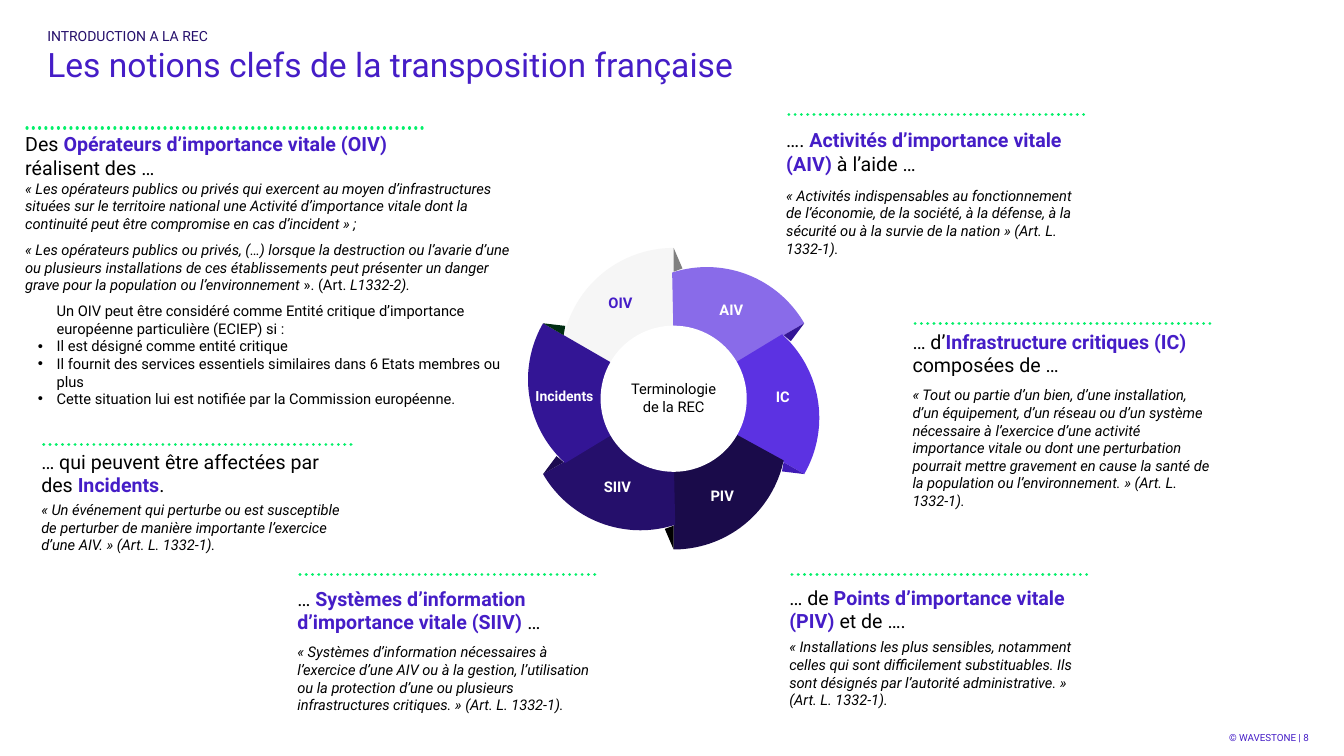
from dataclasses import dataclass
from math import cos, radians, sin

from lxml.etree import SubElement
from pptx import Presentation
from pptx.dml.color import RGBColor
from pptx.enum.dml import MSO_LINE
from pptx.enum.shapes import MSO_CONNECTOR, MSO_SHAPE
from pptx.enum.text import MSO_ANCHOR, MSO_AUTO_SIZE, PP_ALIGN
from pptx.oxml.ns import qn
from pptx.util import Pt

FONT = "Roboto"
VIOLET, INDIGO, GREEN, BLACK, WHITE = "451DC7", "250F6B", "04F06A", "000000", "FFFFFF"
CENTRE_X, CENTRE_Y = 481.2, 284.8
TIP_RADIUS, HUB_RADIUS, INNER_RADIUS = 107.7, 52.2, 38.9
ARC_RADIUS, ARC_SWEEP = 80.3, 78
FOLD = [(0, -TIP_RADIUS), (6.3, -93), (0, -90.7)]


@dataclass
class Segment:
    label: str
    fill: str
    fold: str
    label_x: float
    label_y: float
    label_colour: str = WHITE
    label_size: float = 10.5


@dataclass
class Notion:
    left: float
    width: float
    rule_top: float
    heading_top: float
    heading: tuple[str, str, str]
    quote_top: float = 0
    quote_height: float = 57
    quote: str = ""
    rule_shift: float = 0


SEGMENTS = [
    Segment("OIV", "F6F6F6", "808080", 443.2, 216.7, VIOLET),
    Segment("AIV", "896BE9", "331595", 522.4, 221.7),
    Segment("IC", "5C32E2", "3F1AB5", 559.1, 283.7),
    Segment("PIV", "1A0B4A", "000000", 515.9, 354.2),
    Segment("SIIV", "250F6B", "1C0B50", 441, 347.8),
    Segment("Incidents", "331595", "012D13", 403.2, 283.3, WHITE, 10),
]

NOTIONS = [
    Notion(18, 283.5, 91.4, 94.3,
           ("Des ", "Opérateurs d’importance vitale (OIV) ", "réalisent des …")),
    Notion(561.6, 212.4, 82.1, 91.4,
           ("…. ", "Activités d’importance vitale (AIV) ", "à l’aide …"), 130.3, 57,
           "« Activités indispensables au fonctionnement de l’économie, de la société, à la défense, "
           "à la sécurité ou à la survie de la nation » (Art. L. 1332-1)."),
    Notion(651.8, 212.4, 231.1, 235.4,
           ("… d’", "Infrastructure critiques (IC) ", "composées de …"), 272.9, 95,
           "« Tout ou partie d’un bien, d’une installation, d’un équipement, d’un réseau ou d’un "
           "système nécessaire à l’exercice d’une activité importance vitale ou dont une perturbation "
           "pourrait mettre gravement en cause la santé de la population ou l’environnement. » "
           "(Art. L. 1332-1)."),
    Notion(563.8, 212.4, 410.4, 418.3,
           ("… de ", "Points d’importance vitale (PIV) ", "et de …."), 452.9, 57,
           "« Installations les plus sensibles, notamment celles qui sont difficilement "
           "substituables. Ils sont désignés par l’autorité administrative. » (Art. L. 1332-1)."),
    Notion(212.4, 212.4, 410.4, 419,
           ("… ", "Systèmes d’information d’importance vitale (SIIV) ", "…"), 456.5, 57,
           "« Systèmes d’information nécessaires à l’exercice d’une AIV ou à la gestion, "
           "l’utilisation ou la protection d’une ou plusieurs infrastructures critiques. » "
           "(Art. L. 1332-1)."),
    Notion(29.5, 223.2, 317.5, 321.1,
           ("… qui peuvent être affectées par des ", "Incidents", "."), 355, 44,
           "« Un événement qui perturbe ou est susceptible de perturber de manière importante "
           "l’exercice d’une AIV. » (Art. L. 1332-1).", -2),
]

OPERATOR_QUOTES = [
    [("« Les opérateurs publics ou privés qui exercent au moyen d’infrastructures situées sur le "
      "territoire national une Activité d’importance vitale dont la continuité peut être compromise "
      "en cas d’incident » ;", True)],
    [("« Les opérateurs publics ou privés, (…) lorsque la destruction ou l’avarie d’une ou plusieurs "
      "installations de ces établissements peut présenter un danger grave pour la population ou "
      "l’environnement ", True), ("». (Art. ", False), ("L1332-2).", True)],
]
CRITERIA_INTRO = ("Un OIV peut être considéré comme Entité critique d’importance européenne "
                  "particulière (ECIEP) si :")
CRITERIA = [
    "Il est désigné comme entité critique",
    "Il fournit des services essentiels similaires dans 6 Etats membres ou plus",
    "Cette situation lui est notifiée par la Commission européenne.",
]


def colour(value: str) -> RGBColor:
    return RGBColor.from_string(value)


def place(shape, left: float, top: float, width: float, height: float) -> None:
    shape.left, shape.top, shape.width, shape.height = Pt(left), Pt(top), Pt(width), Pt(height)


def prepare_frame(shape, anchor=MSO_ANCHOR.TOP, inset: float = 0, wrap: bool = True):
    frame = shape.text_frame
    frame.word_wrap, frame.auto_size, frame.vertical_anchor = wrap, MSO_AUTO_SIZE.NONE, anchor
    frame.margin_left = frame.margin_right = 0
    frame.margin_top = frame.margin_bottom = Pt(inset)
    return frame


def format_paragraph(paragraph, size: float, text_colour: str = BLACK, align=PP_ALIGN.LEFT,
                     before: float = 0, bold: bool = False, italic: bool | None = False) -> None:
    paragraph.alignment, paragraph.space_before = align, Pt(before)
    font = paragraph.font
    font.name, font.size, font.bold, font.italic = FONT, Pt(size), bold, italic
    font.color.rgb = colour(text_colour)


def set_bullet(paragraph, margin: float = 0, indent: float = 0, character: str = "") -> None:
    properties = paragraph._p.get_or_add_pPr()
    properties.set("marL", str(Pt(margin)))
    properties.set("indent", str(Pt(indent)))
    if character:
        SubElement(properties, qn("a:buFont"), typeface="Arial")
        SubElement(properties, qn("a:buChar"), char=character)
    else:
        SubElement(properties, qn("a:buNone"))


def add_text(slide, box: tuple[float, float, float, float], text: str, size: float,
             anchor=MSO_ANCHOR.TOP, inset: float = 0, wrap: bool = True, **style):
    shape = slide.shapes.add_textbox(*map(Pt, box))
    paragraph = prepare_frame(shape, anchor, inset, wrap).paragraphs[0]
    paragraph.text = text
    format_paragraph(paragraph, size, **style)


def fill_plain(shape, fill: str) -> None:
    shape.shadow.inherit = False
    shape.fill.solid()
    shape.fill.fore_color.rgb = colour(fill)
    shape.line.fill.background()


def add_outline(slide, points: list[tuple[float, float]], degrees: float, fill: str) -> None:
    cosine, sine = cos(radians(degrees)), sin(radians(degrees))
    turned = [(Pt(CENTRE_X + x * cosine - y * sine), Pt(CENTRE_Y + x * sine + y * cosine))
              for x, y in points]
    builder = slide.shapes.build_freeform(*turned[0], scale=1)
    builder.add_line_segments(turned[1:], close=True)
    fill_plain(builder.convert_to_shape(), fill)


def add_wheel(slide) -> None:
    arc_y = ARC_RADIUS - TIP_RADIUS
    arc = [(-ARC_RADIUS * sin(radians(angle)), arc_y - ARC_RADIUS * cos(radians(angle)))
           for angle in range(0, ARC_SWEEP + 1, 2)]
    inner_end = (-INNER_RADIUS * sin(radians(60)), -INNER_RADIUS * cos(radians(60)))
    blade = [(0, -INNER_RADIUS), *arc, inner_end]
    for index, segment in enumerate(SEGMENTS):
        add_outline(slide, blade, index * 60, segment.fill)
    for index, segment in enumerate(SEGMENTS):
        add_outline(slide, FOLD, index * 60, segment.fold)
    hub = slide.shapes.add_shape(MSO_SHAPE.OVAL, Pt(CENTRE_X - HUB_RADIUS), Pt(CENTRE_Y - HUB_RADIUS),
                                 Pt(2 * HUB_RADIUS), Pt(2 * HUB_RADIUS))
    fill_plain(hub, WHITE)
    for segment in SEGMENTS:
        add_text(slide, (segment.label_x - 22.5, segment.label_y - 6.5, 45, 13), segment.label,
                 segment.label_size, wrap=False, text_colour=segment.label_colour,
                 align=PP_ALIGN.CENTER, bold=True)
    add_text(slide, (449.2, 271.5, 64, 25.2), "Terminologie de la REC", 10.5,
             MSO_ANCHOR.MIDDLE, align=PP_ALIGN.CENTER)


def add_notion(slide, notion: Notion) -> None:
    start = notion.left + notion.rule_shift
    rule = slide.shapes.add_connector(MSO_CONNECTOR.STRAIGHT, Pt(start + notion.width),
                                      Pt(notion.rule_top), Pt(start), Pt(notion.rule_top))
    rule.line.color.rgb = colour(GREEN)
    rule.line.width, rule.line.dash_style = Pt(2.25), MSO_LINE.ROUND_DOT
    properties = rule._element.spPr
    properties.find(qn("a:ln")).set("cap", "rnd")
    SubElement(properties, qn("a:effectLst"))

    heading = slide.shapes.add_textbox(Pt(notion.left), Pt(notion.heading_top), Pt(notion.width), Pt(34))
    paragraph = prepare_frame(heading).paragraphs[0]
    format_paragraph(paragraph, 14)
    for index, text in enumerate(notion.heading):
        run = paragraph.add_run()
        run.text = text
        if index == 1:
            run.font.bold = True
            run.font.color.rgb = colour(VIOLET)
    if notion.quote:
        add_text(slide, (notion.left, notion.quote_top, notion.width, notion.quote_height),
                 notion.quote, 10.5, inset=2.9, italic=True)


def fill_operator_details(shape) -> None:
    place(shape, 18, 125.3, 357.1, 157.7)
    frame = prepare_frame(shape, inset=2.9)
    for index, pieces in enumerate(OPERATOR_QUOTES):
        paragraph = frame.add_paragraph() if index else frame.paragraphs[0]
        set_bullet(paragraph)
        format_paragraph(paragraph, 10.5, before=6 if index else 0, italic=None)
        for text, italic in pieces:
            run = paragraph.add_run()
            run.text, run.font.italic = text, italic
    for index, text in enumerate([CRITERIA_INTRO, *CRITERIA]):
        paragraph = frame.add_paragraph()
        paragraph.text = text
        set_bullet(paragraph, 22.5, -13.5 if index else 0, "•" if index else "")
        format_paragraph(paragraph, 10.5, before=0 if index else 6)


def main() -> None:
    presentation = Presentation()
    presentation.slide_width, presentation.slide_height = Pt(960), Pt(540)
    slide = presentation.slides.add_slide(presentation.slide_layouts[3])
    title, kicker, details = slide.placeholders

    place(title, 33.8, 31.7, 892.8, 73.4)
    heading = prepare_frame(title).paragraphs[0]
    heading.text = "Les notions clefs de la transposition française"
    format_paragraph(heading, 24, VIOLET)

    place(kicker, 33.8, 11.5, 613.4, 20.2)
    section = prepare_frame(kicker, MSO_ANCHOR.BOTTOM).paragraphs[0]
    section.text = "INTRODUCTION A LA REC"
    set_bullet(section)
    format_paragraph(section, 10, INDIGO)

    fill_operator_details(details)
    add_wheel(slide)
    for notion in NOTIONS:
        add_notion(slide, notion)
    add_text(slide, (833.8, 517.7, 101, 18.7), "© WAVESTONE | 8", 7, MSO_ANCHOR.MIDDLE,
             text_colour=VIOLET, align=PP_ALIGN.RIGHT)
    presentation.save("out.pptx")


if __name__ == "__main__":
    main()
